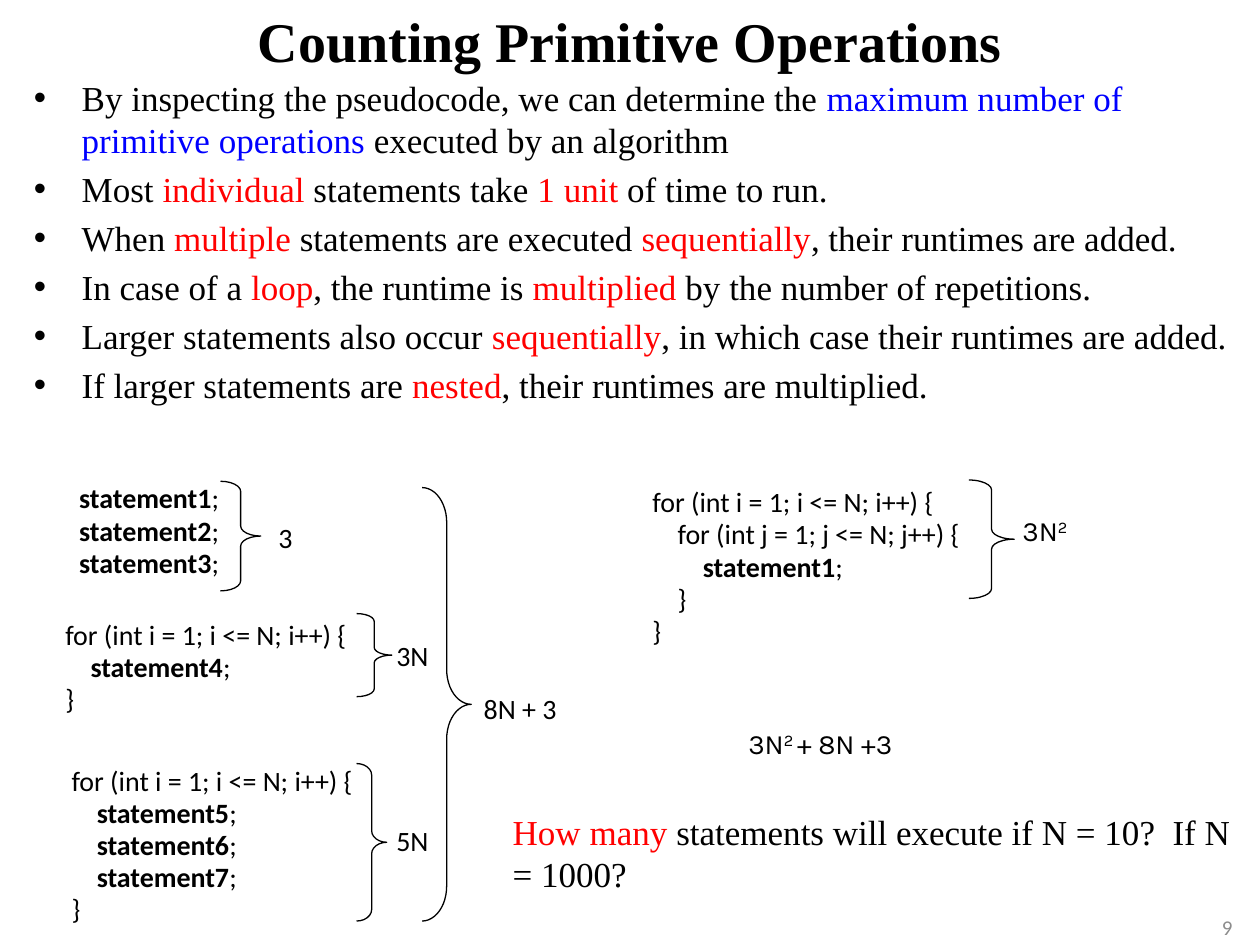
from lxml import etree
from pptx import Presentation
from pptx.dml.color import RGBColor
from pptx.enum.shapes import MSO_SHAPE
from pptx.enum.text import MSO_ANCHOR, MSO_AUTO_SIZE, PP_ALIGN
from pptx.oxml.ns import qn
from pptx.util import Inches, Pt

BRACE = MSO_SHAPE.RIGHT_BRACE
TOP, MIDDLE = MSO_ANCHOR.TOP, MSO_ANCHOR.MIDDLE
FIT, FIXED = MSO_AUTO_SIZE.SHAPE_TO_FIT_TEXT, MSO_AUTO_SIZE.NONE
LEFT, CENTER, RIGHT = PP_ALIGN.LEFT, PP_ALIGN.CENTER, PP_ALIGN.RIGHT
SERIF, SANS, MATH = "Times New Roman", "Calibri", "Karla"
BLACK, RED, BLUE, GREY = "000000", "FF0000", "0000FF", "8C8C8C"
COLS, ROWS = 100, 75
WIDTH, HEIGHT = Inches(10), Inches(7.5)

BULLETS = [
    ("By inspecting the pseudocode, we can determine the |maximum number of primitive operations|"
     " executed by an algorithm", BLUE),
    ("Most |individual| statements take |1 unit |of time to run.", RED),
    ("When |multiple| statements are executed |sequentially|, their runtimes are added.", RED),
    ("In case of a |loop|, the runtime is |multiplied| by the number of repetitions.", RED),
    ("Larger statements also occur |sequentially|, in which case their runtimes are added.", RED),
    ("If larger statements are |nested|, their runtimes are multiplied.", RED),
]
LOOP = (0, "for (int i = 1; i <= N; i++) {")
END = (0, "}")
CODE = [
    ((5.3, 38.2, 14.2, 7.6), [(0, f"|statement{n}|;") for n in (1, 2, 3)]),
    ((4.2, 49, 25.2, 9.4), [LOOP, (1, "|statement4|;"), END]),
    ((4.7, 60.6, 26.7, 14.2), [LOOP, *((1, f"|statement{n}|;") for n in (5, 6, 7)), END]),
    ((50.8, 38.5, 36.7, 14.2),
     [LOOP, (1, "for (int j = 1; j <= N; j++) {"), (2, "|statement1|;"), (1, "}"), END]),
]
COUNTS = [
    ((17.5, 38.2, 3.2, 8.7), 0.25, (21, 40.8, 3.2, 3.7), "3", SANS, RIGHT),
    ((28.3, 48.7, 2.8, 6.6), 0.22, (30.4, 50.2, 4.6, 3.7), "3N", SANS, RIGHT),
    ((28.3, 60.6, 2.4, 12.5), 0.38, (30.4, 64.9, 4.6, 3.7), "5N", SANS, RIGHT),
    ((33.5, 38.7, 3.9, 34.4), 0.71, (37.4, 54.4, 7.9, 3.7), "8N + 3", SANS, LEFT),
    ((76.9, 38.1, 3.6, 9.4), 0.22, (80.1, 40.3, 5.6, 3.7), "3N|2|", MATH, RIGHT),
]


def rgb(value):
    """Turn a hex string into a colour."""
    return RGBColor.from_string(value)


def place(box):
    """Turn a box in grid columns and rows into slide lengths."""
    x, y, w, h = box
    return (int(x * WIDTH / COLS), int(y * HEIGHT / ROWS),
            int(w * WIDTH / COLS), int(h * HEIGHT / ROWS))


def write(p, text, font, size, color=BLACK, accent=None, bold=False, raised=False):
    """Fill a paragraph, giving the parts between bars the accent format."""
    for i, part in enumerate(text.split("|")):
        if not part:
            continue
        r = p.add_run()
        r.text = part
        marked = i % 2 == 1
        r.font.name, r.font.size = font, Pt(size)
        r.font.bold = bold and marked
        r.font.color.rgb = rgb(accent if marked and accent else color)
        if raised and marked:
            r.font._element.set("baseline", "30000")


def indent(p, left, hanging, bullet=None):
    """Set a hanging indent and an optional bullet."""
    pPr = p._p.get_or_add_pPr()
    pPr.set("marL", str(Inches(left)))
    pPr.set("indent", str(-Inches(hanging)))
    if bullet:
        etree.SubElement(pPr, qn("a:buFont")).set("typeface", "Arial")
        etree.SubElement(pPr, qn("a:buChar")).set("char", bullet)


def add_text(s, box, wrap=True, fit=FIXED, anchor=TOP):
    """Add an empty text box and return its frame."""
    tf = s.shapes.add_textbox(*place(box)).text_frame
    tf.word_wrap, tf.auto_size, tf.vertical_anchor = wrap, fit, anchor
    return tf


def paragraphs(tf, count):
    """Give the frame a number of paragraphs."""
    return [tf.paragraphs[0]] + [tf.add_paragraph() for _ in range(count - 1)]


def add_title(s, box, text):
    """Place and format the title placeholder."""
    title = s.shapes.title
    title.left, title.top, title.width, title.height = place(box)
    tf = title.text_frame
    tf.text = text
    tf.auto_size, tf.vertical_anchor = FIXED, TOP
    p = tf.paragraphs[0]
    p.alignment = CENTER
    font = p.runs[0].font
    font.name, font.size, font.bold, font.color.rgb = SERIF, Pt(32), True, rgb(BLACK)


def add_bullets(s, box, items):
    """Add the list of counting rules."""
    for p, (text, accent) in zip(paragraphs(add_text(s, box), len(items)), items):
        p.space_before = Pt(4)
        indent(p, 0.38, 0.38, "•")
        write(p, text, SERIF, 20, accent=accent)


def add_code(s, box, lines):
    """Add a block of code with nested lines indented by level."""
    for p, (level, text) in zip(paragraphs(add_text(s, box), len(lines)), lines):
        p.line_spacing, p.space_before = 0.8, Pt(3)
        indent(p, 0.25 + 0.2 * level, 0.25)
        write(p, text, SANS, 16, bold=True)


def add_label(s, box, text, font, align=LEFT):
    """Add a running time."""
    p = add_text(s, box, wrap=False, fit=FIT).paragraphs[0]
    p.alignment = align
    write(p, text, font, 16, raised=True)


def add_count(s, box, curve, label_box, text, font, align):
    """Add a brace and the running time it stands for."""
    sp = s.shapes.add_shape(BRACE, *place(box))
    sp.shadow.inherit = False
    sp.fill.background()
    sp.line.color.rgb, sp.line.width = rgb(BLACK), Pt(0.75)
    sp.adjustments[0], sp.adjustments[1] = curve, 0.5
    add_label(s, label_box, text, font, align)


def main():
    """Build and save the slide."""
    prs = Presentation()
    prs.slide_width, prs.slide_height = WIDTH, HEIGHT
    s = prs.slides.add_slide(prs.slide_layouts[5])
    add_title(s, (5, 0, 90, 5.8), "Counting Primitive Operations")
    add_bullets(s, (1.7, 5.6, 98.3, 22.4), BULLETS)
    for box, lines in CODE:
        add_code(s, box, lines)
    for count in COUNTS:
        add_count(s, *count)
    add_label(s, (58.4, 57.2, 14.9, 3.7), "3N|2 |+ 8N +3", MATH)
    question = add_text(s, (39.7, 63.8, 60.5, 7.7), fit=FIT).paragraphs[0]
    write(question, "|How many |statements will execute if N = 10?  If N = 1000?", SERIF, 20, accent=RED)
    number = add_text(s, (75.5, 71.6, 23.3, 4), anchor=MIDDLE).paragraphs[0]
    number.alignment = RIGHT
    write(number, "9", SANS, 12, GREY)
    prs.save("out.pptx")


if __name__ == "__main__":
    main()
